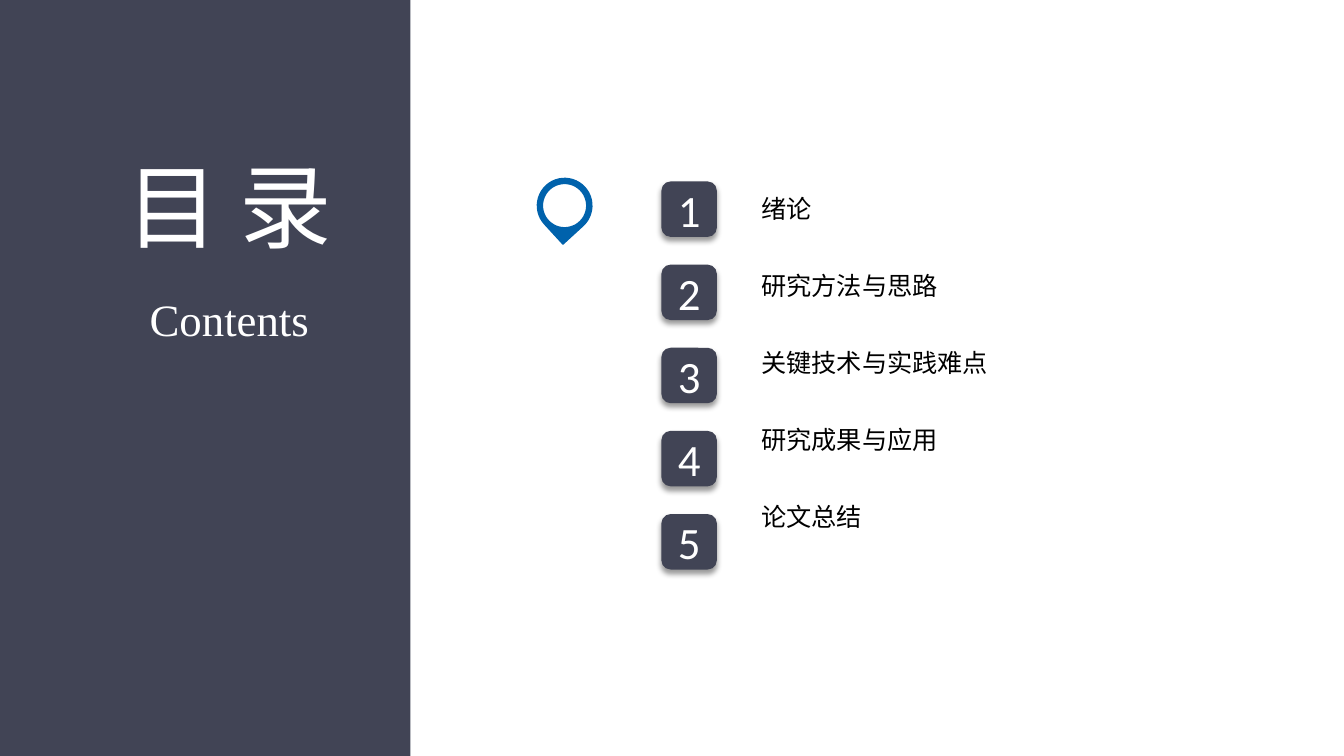
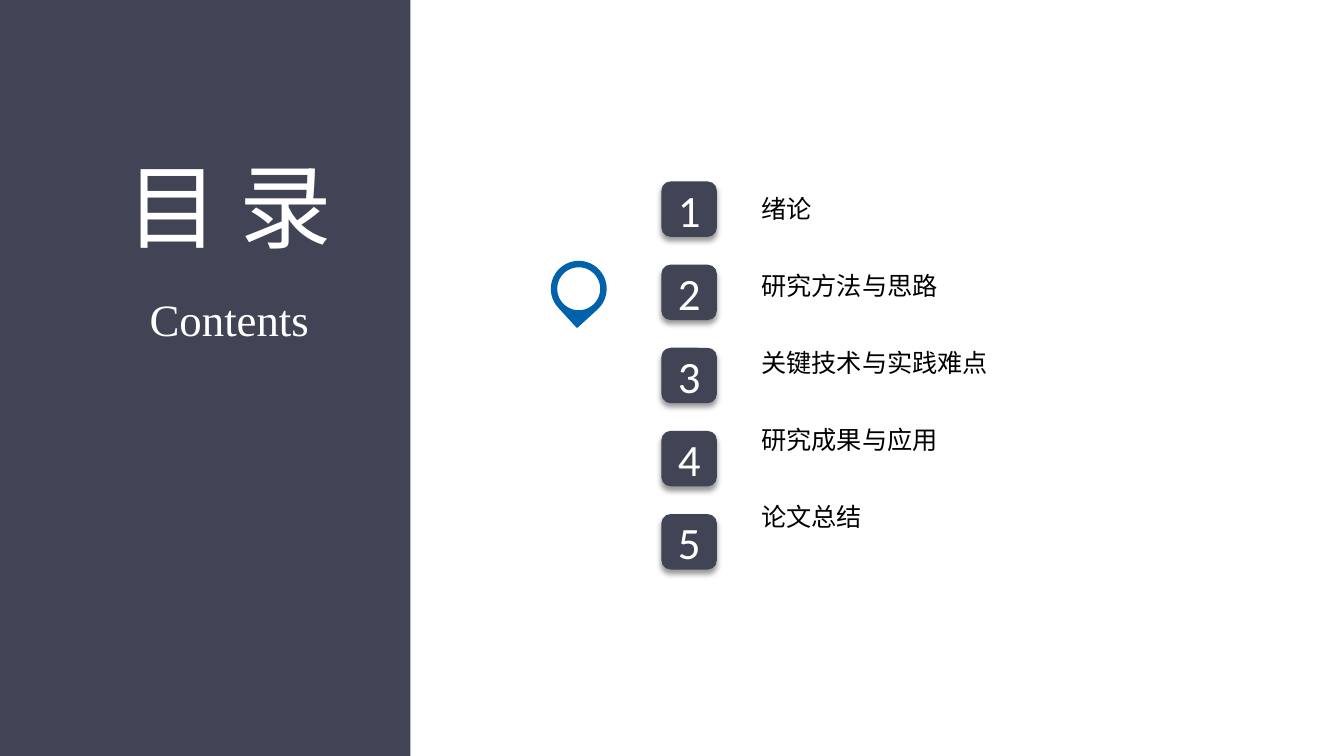
from dataclasses import dataclass

from lxml import etree
from pptx import Presentation
from pptx.dml.color import RGBColor
from pptx.enum.shapes import MSO_SHAPE as SHAPE
from pptx.enum.text import MSO_ANCHOR as ANCHOR, MSO_AUTO_SIZE as AUTO, PP_ALIGN as ALIGN
from pptx.oxml import parse_xml
from pptx.oxml.ns import nsdecls, qn
from pptx.util import Inches, Pt


@dataclass(frozen=True)
class Theme:
    slate: RGBColor = RGBColor(0x41, 0x44, 0x55)
    blue: RGBColor = RGBColor(0x00, 0x62, 0xAC)
    white: RGBColor = RGBColor(0xFF, 0xFF, 0xFF)
    black: RGBColor = RGBColor(0x00, 0x00, 0x00)
    cjk: str = "Noto Sans CJK SC"
    latin: str = "Calibri"
    serif: str = "Times New Roman"
    title: int = 66
    subtitle: int = 32
    number: int = 32
    item: int = 18


T = Theme()
CHAPTERS = ["绪论", "研究方法与思路", "关键技术与实践难点", "研究成果与应用", "论文总结"]
PINS = [(0, 5.33), (1, 5.47)]
TOP, PITCH, BADGE = 1.8, 3.3 / 4, 0.55
ITEM_LINE = T.item * 1.448
SHADOW = (
    f'<a:outerShdw {nsdecls("a")} blurRad="{Pt(4)}" dist="{Pt(3)}" dir="5400000" rotWithShape="0">'
    '<a:srgbClr val="000000"><a:alpha val="40000"/></a:srgbClr></a:outerShdw>'
)


def add_shape(s, kind, x, y, w, h, fill, line=None):
    sp = s.shapes.add_shape(kind, Inches(x), Inches(y), Inches(w), Inches(h))
    sp.shadow.inherit = False
    sp.fill.solid()
    sp.fill.fore_color.rgb = fill
    if line is None:
        sp.line.fill.background()
    else:
        sp.line.color.rgb = line
        sp.line.width = Pt(1)
    return sp


def add_run(tf, p, text, font, size, color, align=ALIGN.CENTER, inset=0.05):
    tf.auto_size = AUTO.NONE
    tf.margin_left = tf.margin_right = tf.margin_top = tf.margin_bottom = Inches(inset)
    p.alignment = align
    p.line_spacing = 1.0
    p.space_before = Pt(0)
    r = p.add_run()
    r.text = text
    r.font.name = font
    r.font.size = Pt(size)
    r.font.color.rgb = color
    ea = etree.SubElement(r.font._element, qn("a:ea"))
    ea.set("typeface", font)


prs = Presentation()
prs.slide_width, prs.slide_height = Inches(13.33), Inches(7.5)

for row, pin_x in PINS:
    s = prs.slides.add_slide(prs.slide_layouts[1])

    band = add_shape(s, SHAPE.RECTANGLE, 0, 0, 4.07, 7.5, T.slate)
    s.shapes._spTree.insert(2, band._element)

    title = s.shapes.title
    title.left, title.top, title.width, title.height = map(Inches, (1.17, 1.43, 2.2, 1.38))
    tf = title.text_frame
    tf.word_wrap = False
    tf.vertical_anchor = ANCHOR.TOP
    add_run(tf, tf.paragraphs[0], "目 录", T.cjk, T.title, T.white)

    subtitle = s.shapes.add_textbox(Inches(1.43), Inches(2.84), Inches(1.69), Inches(0.6))
    tf = subtitle.text_frame
    tf.word_wrap = False
    add_run(tf, tf.paragraphs[0], "Contents", T.serif, T.subtitle, T.white)

    body = s.placeholders[1]
    body.left, body.top, body.width, body.height = map(Inches, (7.5, 1.87, 4.5, 3.8))
    body_tf = body.text_frame
    body_tf.word_wrap = True
    body_tf.vertical_anchor = ANCHOR.TOP

    for i, chapter in enumerate(CHAPTERS):
        badge = add_shape(s, SHAPE.ROUNDED_RECTANGLE, 6.56, TOP + i * PITCH, BADGE, BADGE, T.slate)
        badge._element.spPr.find(qn("a:effectLst")).append(parse_xml(SHADOW))
        tf = badge.text_frame
        tf.vertical_anchor = ANCHOR.MIDDLE
        add_run(tf, tf.paragraphs[0], str(i + 1), T.latin, T.number, T.white, inset=0)

        p = body_tf.paragraphs[0] if i == 0 else body_tf.add_paragraph()
        pPr = p._p.get_or_add_pPr()
        pPr.set("marL", "0")
        pPr.set("indent", "0")
        etree.SubElement(pPr, qn("a:buNone"))
        add_run(body_tf, p, chapter, T.cjk, T.item, T.black, ALIGN.LEFT)
        if i < len(CHAPTERS) - 1:
            p.space_after = Pt(PITCH * 72 - ITEM_LINE)

    pin_y = TOP + row * PITCH - 0.03
    pin = add_shape(s, SHAPE.TEAR, pin_x, pin_y, 0.54, 0.54, T.blue, T.blue)
    pin.rotation = 137.5
    add_shape(s, SHAPE.OVAL, pin_x + 0.05, pin_y + 0.05, 0.44, 0.44, T.white, T.blue)

prs.save("out.pptx")
